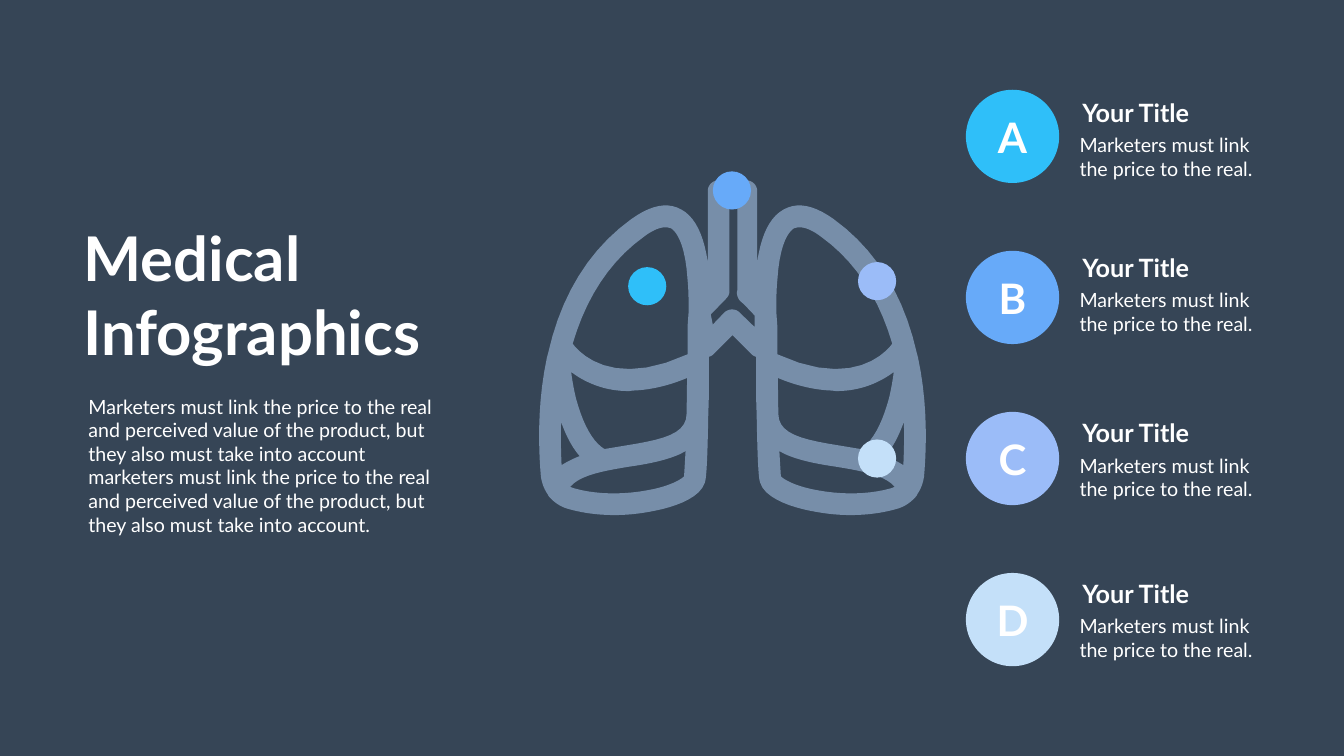
"""Build the Medical Infographics slide: a lung diagram with four lettered callouts."""
from collections import namedtuple
from dataclasses import dataclass

import pptx
import pptx.dml.color
import pptx.enum.shapes
import pptx.enum.text
import pptx.util

Pt = pptx.util.Pt
RGBColor = pptx.dml.color.RGBColor
MSO_ANCHOR = pptx.enum.text.MSO_ANCHOR
PP_ALIGN = pptx.enum.text.PP_ALIGN

Style = namedtuple("Style", "size bold inset_x inset_y")
Callout = namedtuple("Callout", "letter color marker heading_top")


@dataclass(frozen=True)
class Theme:
    font: str = "Lato"
    background: str = "364556"
    text: str = "FFFFFF"
    lungs: str = "778EA9"
    title: Style = Style(88, True, 4.6, 4.6)
    body: Style = Style(28, False, 4.6, 4.6)
    heading: Style = Style(36, True, 7.2, 3.6)
    detail: Style = Style(28, False, 4.6, 3.6)
    letter: Style = Style(60, True, 0, 0)


THEME = Theme()

CALLOUTS = [
    Callout("A", "2FBFF9", (897.1, 381.6), 135.4),
    Callout("B", "67AAF9", (1018.1, 244.8), 357.1),
    Callout("C", "9BBCF8", (1225.4, 374.4), 593.3),
    Callout("D", "C4E0F9", (1225.4, 627.8), 823),
]
CALLOUT_TOP, CALLOUT_STEP = 128.2, 230.1
BADGE_SIZE, MARKER_SIZE = 133.2, 54.5

LUNG_UNIT = 0.72
LUNG_AXIS = 1453
LEFT_SILHOUETTE = [
    (1453, 358), (1425, 358), (1413, 358, 1404, 368, 1404, 379), (1404, 520),
    (1396, 466, 1379, 431, 1352, 416), (1324, 400, 1291, 407, 1252, 435),
    (1169, 495, 1113, 585, 1087, 702), (1085, 709),
    (1064, 807, 1069, 899, 1073, 946), (1075, 958, 1079, 970, 1086, 980),
    (1088, 984), (1098, 996, 1112, 1006, 1128, 1010),
    (1156, 1018, 1187, 1022, 1219, 1022), (1245, 1022, 1271, 1019, 1296, 1014),
    (1323, 1009, 1387, 993, 1398, 958), (1400, 952, 1403, 942, 1405, 824),
    (1406, 792), (1406, 708), (1410, 707, 1413, 705, 1415, 703), (1453, 665),
]
LEFT_LOBES = [
    [(1277, 470), (1290, 460, 1306, 451, 1320, 451),
     (1324, 451, 1327, 452, 1331, 453), (1339, 458, 1359, 477, 1364, 556),
     (1366, 577, 1366, 597, 1366, 614), (1366, 619), (1364, 647), (1364, 703),
     (1212, 773, 1147, 697, 1136, 682), (1163, 590, 1210, 518, 1277, 470)],
    [(1362, 821), (1362, 861, 1316, 872, 1241, 884), (1199, 891),
     (1176, 877, 1157, 843, 1143, 792), (1138, 772, 1135, 753, 1133, 738),
     (1142, 745, 1153, 752, 1166, 758), (1191, 770, 1218, 776, 1248, 776),
     (1255, 775), (1288, 774, 1325, 766, 1363, 750)],
    [(1114, 923), (1113, 900, 1112, 871, 1113, 837),
     (1123, 865, 1135, 888, 1150, 905), (1137, 910, 1125, 916, 1114, 923)],
    [(1283, 973), (1234, 982, 1182, 981, 1139, 969), (1131, 966),
     (1151, 942, 1200, 934, 1248, 926), (1283, 921, 1320, 914, 1349, 901),
     (1360, 895), (1357, 945), (1353, 950, 1330, 965, 1283, 973)],
]
WINDPIPE = [
    (1497, 649), (1467, 620), (1463, 616, 1458, 614, 1452, 614),
    (1447, 614, 1441, 616, 1437, 620), (1414, 644), (1410, 624), (1440, 593),
    (1444, 589, 1447, 584, 1447, 578), (1447, 401), (1463, 401), (1463, 575),
    (1460, 582, 1463, 591, 1468, 597), (1476, 604), (1497, 626),
]


def rgb(color):
    """Turn a hex string into a colour."""
    return RGBColor.from_string(color)


def flatten(outline, steps=10):
    """Turn corners and cubic curves into a list of points."""
    points = [outline[0]]
    for segment in outline[1:]:
        if len(segment) == 2:
            points.append(segment)
            continue
        controls = [points[-1], segment[:2], segment[2:4], segment[4:]]
        for step in range(1, steps + 1):
            t = step / steps
            weights = ((1 - t) ** 3, 3 * t * (1 - t) ** 2, 3 * t * t * (1 - t), t ** 3)
            points.append(tuple(
                sum(w * control[axis] for w, control in zip(weights, controls))
                for axis in (0, 1)))
    return points


def mirror(points):
    """Reflect points across the windpipe, in reverse order."""
    return [(2 * LUNG_AXIS - x, y) for x, y in reversed(points)]


def paint(shape, color):
    """Give a shape a plain fill with no line or shadow."""
    shape.shadow.inherit = False
    shape.fill.solid()
    shape.fill.fore_color.rgb = rgb(color)
    shape.line.fill.background()


def write(shape, text, style, align=PP_ALIGN.LEFT, anchor=MSO_ANCHOR.TOP):
    """Set and format the text of a shape."""
    frame = shape.text_frame
    frame.text = text
    frame.word_wrap = True
    frame.auto_size = pptx.enum.text.MSO_AUTO_SIZE.NONE
    frame.vertical_anchor = anchor
    frame.margin_left = frame.margin_right = Pt(style.inset_x)
    frame.margin_top = frame.margin_bottom = Pt(style.inset_y)
    paragraph = frame.paragraphs[0]
    paragraph.alignment = align
    paragraph.font.name = THEME.font
    paragraph.font.size = Pt(style.size)
    paragraph.font.bold = style.bold
    paragraph.font.color.rgb = rgb(THEME.text)


def add_title(slide, text, left, top, width, height):
    """Place the slide title in its placeholder."""
    title = slide.shapes.title
    title.left, title.top = Pt(left), Pt(top)
    title.width, title.height = Pt(width), Pt(height)
    write(title, text, THEME.title)


def add_text(slide, text, style, left, top, width, height):
    """Add a wrapped text box."""
    box = slide.shapes.add_textbox(Pt(left), Pt(top), Pt(width), Pt(height))
    write(box, text, style)


def add_disc(slide, left, top, size, color):
    """Add a filled circle."""
    disc = slide.shapes.add_shape(
        pptx.enum.shapes.MSO_SHAPE.OVAL, Pt(left), Pt(top), Pt(size), Pt(size))
    paint(disc, color)
    return disc


def add_lungs(slide):
    """Draw the symmetric lungs as one outline with openings."""
    half = flatten(LEFT_SILHOUETTE)
    lobes = [flatten(lobe) for lobe in LEFT_LOBES]
    contours = [half + mirror(half), flatten(WINDPIPE), *lobes, *map(mirror, lobes)]
    builder = None
    for contour in contours:
        start, *rest = [(Pt(x * LUNG_UNIT), Pt(y * LUNG_UNIT)) for x, y in contour]
        if builder is None:
            builder = slide.shapes.build_freeform(*start)
        else:
            builder.move_to(*start)
        builder.add_line_segments(rest, close=True)
    paint(builder.convert_to_shape(), THEME.lungs)


def add_callout(slide, callout, top):
    """Add a lettered badge, its texts and its marker on the lungs."""
    badge = add_disc(slide, 1379.5, top, BADGE_SIZE, callout.color)
    write(badge, callout.letter, THEME.letter, PP_ALIGN.CENTER, MSO_ANCHOR.MIDDLE)
    add_disc(slide, *callout.marker, MARKER_SIZE, callout.color)
    add_text(slide, "Your Title", THEME.heading, 1538.6, callout.heading_top, 281.5, 51.1)
    add_text(slide, "Marketers must link the price to the real.", THEME.detail,
             1537.2, callout.heading_top + 51.1, 283.7, 74.9)


def main():
    """Build and save the slide."""
    deck = pptx.Presentation()
    deck.slide_width, deck.slide_height = Pt(1919.52), Pt(1080)
    slide = deck.slides.add_slide(deck.slide_layouts[5])
    slide.background.fill.solid()
    slide.background.fill.fore_color.rgb = rgb(THEME.background)

    add_title(slide, "Medical Infographics", 114.5, 309.6, 561.6, 220.3)
    add_text(slide, "Marketers must link the price to the real and perceived value of "
             "the product, but they also must take into account marketers must link the "
             "price to the real and perceived value of the product, but they also must "
             "take into account.", THEME.body, 121.7, 559.4, 527.8, 211)
    add_lungs(slide)
    for row, callout in enumerate(CALLOUTS):
        add_callout(slide, callout, CALLOUT_TOP + row * CALLOUT_STEP)
    deck.save("out.pptx")


if __name__ == "__main__":
    main()
